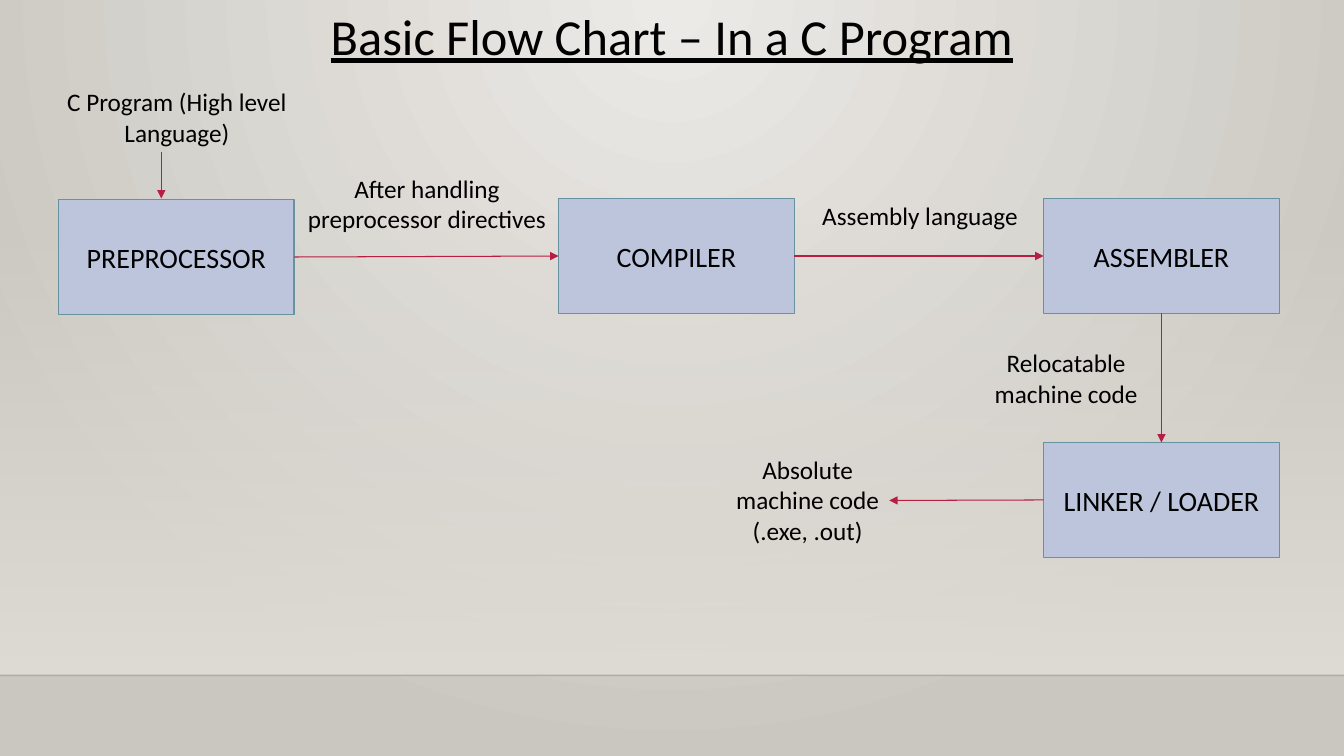
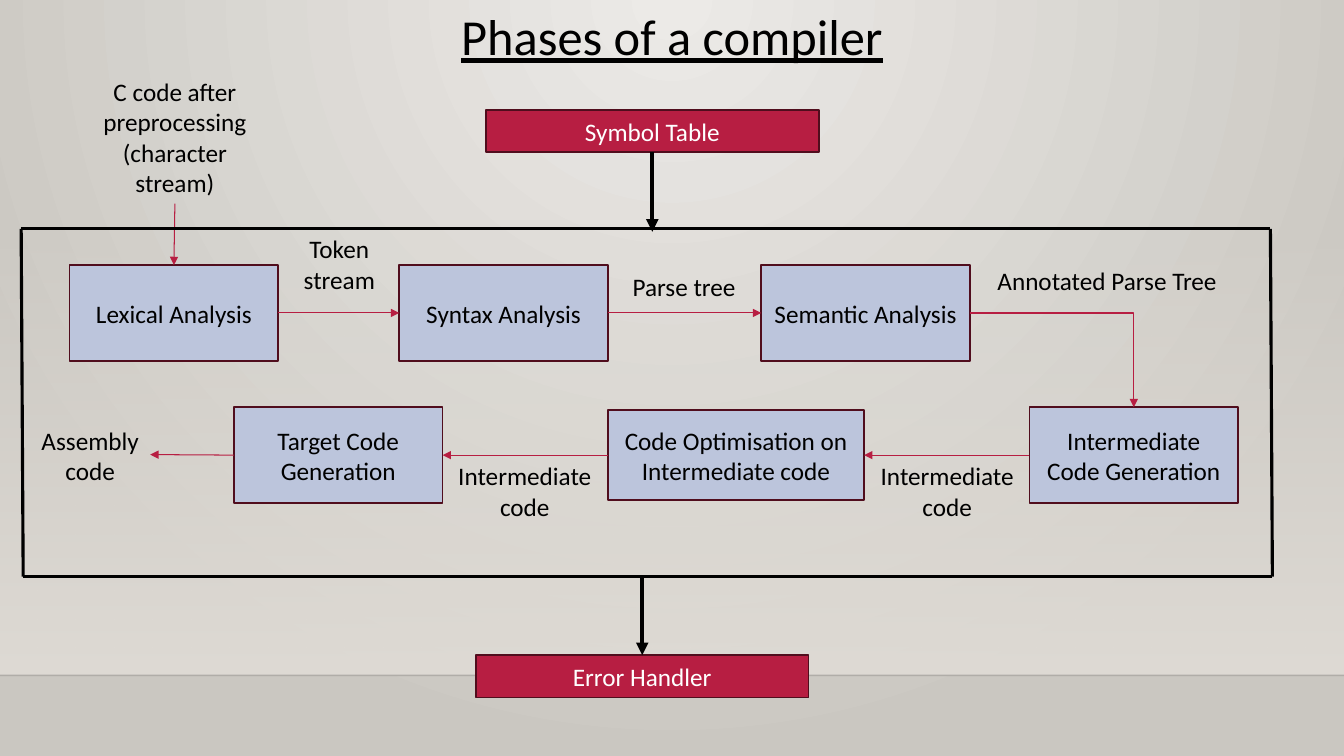
from lxml import etree
from pptx import Presentation
from pptx.dml.color import RGBColor
from pptx.enum.shapes import MSO_CONNECTOR, MSO_SHAPE
from pptx.enum.text import MSO_ANCHOR, MSO_AUTO_SIZE, PP_ALIGN
from pptx.oxml.ns import qn
from pptx.util import Inches, Pt

FONT = "Calibri"
BLACK = RGBColor(0x00, 0x00, 0x00)
WHITE = RGBColor(0xFF, 0xFF, 0xFF)
CRIMSON = RGBColor(0xB7, 0x1E, 0x42)
MAROON = RGBColor(0x50, 0x0D, 0x1D)
TEAL = RGBColor(0x68, 0x92, 0xA0)
PALE_BLUE = RGBColor(0xBC, 0xC5, 0xDC)
GLOW = RGBColor(0xEC, 0xEA, 0xE7)
STONE = RGBColor(0xCA, 0xC7, 0xC1)
SAND = RGBColor(0xDF, 0xDB, 0xD5)

SLIDE_WIDTH, SLIDE_HEIGHT = 13.33, 7.5
BAND_TOP, FLOOR = 2.21, 6.7
TOP, LEFT, BOTTOM, RIGHT = range(4)  # connection sites of a rectangle

# Boxes and labels: text, left, top, width, height.
# Arrows: start and end, each a (text, side) pair or an (x, y) point.
STAGE = (2.34, 1.14)
PROGRAM_FLOW = {
    "title": "Basic Flow Chart – In a C Program",
    "box_line": TEAL,
    "box_size": 20,
    "boxes": [
        ("PREPROCESSOR", 0.58, 1.98, *STAGE),
        ("COMPILER", 5.54, 1.97, *STAGE),
        ("ASSEMBLER", 10.35, 1.97, *STAGE),
        ("LINKER / LOADER", 10.35, 4.39, *STAGE),
    ],
    "labels": [
        ("C Program (High level Language)", 0.5, 0.81, 2.51, 0.71),
        ("After handling preprocessor directives", 2.93, 1.67, 2.61, 0.71),
        ("Assembly language", 8.04, 1.94, 2.17, 0.4),
        ("Relocatable machine code", 9.61, 3.4, 1.93, 0.71),
        ("Absolute machine code (.exe, .out)", 7.2, 4.46, 1.62, 1.01),
    ],
    "arrows": [
        ((1.6, 1.51), (1.6, 1.97)),
        (("PREPROCESSOR", RIGHT), ("COMPILER", LEFT)),
        (("COMPILER", RIGHT), ("ASSEMBLER", LEFT)),
        (("ASSEMBLER", BOTTOM), ("LINKER / LOADER", TOP)),
        (("LINKER / LOADER", LEFT), ("Absolute machine code (.exe, .out)", RIGHT)),
    ],
}

PHASE = (2.07, 0.95)
COMPILER_PHASES = {
    "title": "Phases of a compiler",
    "box_line": MAROON,
    "box_size": 18,
    "boxes": [
        ("Lexical Analysis", 0.69, 2.63, *PHASE),
        ("Syntax Analysis", 3.96, 2.63, *PHASE),
        ("Semantic Analysis", 7.55, 2.63, *PHASE),
        ("Intermediate Code Generation", 10.21, 4.04, *PHASE),
        ("Code Optimisation on Intermediate code", 6.03, 4.07, 2.54, 0.89),
        ("Target Code Generation", 2.32, 4.04, *PHASE),
    ],
    "labels": [
        ("C code after preprocessing (character stream)", 0.88, 0.71, 1.71, 1.31),
        ("Token stream", 2.89, 2.27, 0.95, 0.71),
        ("Parse tree", 6.15, 2.64, 1.27, 0.4),
        ("Annotated Parse Tree", 9.74, 2.58, 2.48, 0.4),
        ("Intermediate code", 8.58, 4.52, 1.63, 0.71),
        ("Intermediate code", 4.39, 4.52, 1.63, 0.71),
        ("Assembly code", 0.23, 4.17, 1.33, 0.71),
    ],
    "arrows": [
        (("C code after preprocessing (character stream)", BOTTOM),
         ("Lexical Analysis", TOP)),
        (("Lexical Analysis", RIGHT), ("Syntax Analysis", LEFT)),
        (("Syntax Analysis", RIGHT), ("Semantic Analysis", LEFT)),
        (("Semantic Analysis", RIGHT), ("Intermediate Code Generation", TOP)),
        (("Intermediate Code Generation", LEFT),
         ("Code Optimisation on Intermediate code", RIGHT)),
        (("Code Optimisation on Intermediate code", LEFT),
         ("Target Code Generation", RIGHT)),
        (("Target Code Generation", LEFT), (1.49, 4.51)),
    ],
}
SERVICES = [
    ("Symbol Table", 4.82, 1.09, 3.3, 0.42),
    ("Error Handler", 4.72, 6.5, 3.3, 0.42),
]
SERVICE_ARROWS = [
    (("Symbol Table", BOTTOM), (6.47, 2.3)),
    ((6.37, 5.72), ("Error Handler", TOP)),
]
FRAME_CORNERS = [(0.21, 2.27), (12.6, 2.27), (12.62, 5.72), (0.23, 5.72)]


def inches(*values):
    return [Inches(value) for value in values]


def write(shape, text, size, color, underline=None):
    frame = shape.text_frame
    frame.word_wrap = True
    paragraph = frame.paragraphs[0]
    paragraph.alignment = PP_ALIGN.CENTER
    run = paragraph.add_run()
    run.text = text
    run.font.name = FONT
    run.font.size = Pt(size)
    run.font.color.rgb = color
    run.font.underline = underline


def add_box(slide, text, *place, fill, line, size, color):
    box = slide.shapes.add_shape(MSO_SHAPE.RECTANGLE, *inches(*place))
    box.shadow.inherit = False
    box.fill.solid()
    box.fill.fore_color.rgb = fill
    box.line.color.rgb = line
    box.line.width = Pt(1.25)
    box.text_frame.vertical_anchor = MSO_ANCHOR.MIDDLE
    write(box, text, size, color)
    return box


def add_label(slide, text, *place):
    label = slide.shapes.add_textbox(*inches(*place))
    write(label, text, 18, BLACK)
    label.text_frame.auto_size = MSO_AUTO_SIZE.SHAPE_TO_FIT_TEXT
    return label


def add_line(slide, start, end, color, width, kind=MSO_CONNECTOR.STRAIGHT):
    line = slide.shapes.add_connector(kind, *inches(*start, *end))
    line.line.color.rgb = color
    line.line.width = Pt(width)
    etree.SubElement(line.element.spPr, qn("a:effectLst"))
    return line


def add_arrow(slide, nodes, start, end, color=CRIMSON, width=0.75):
    """Draw an arrow, glued to a shape at each end that names one."""
    turns = start[0] in nodes and end[0] in nodes and start[1] % 2 != end[1] % 2
    kind = MSO_CONNECTOR.ELBOW if turns else MSO_CONNECTOR.STRAIGHT
    points = [(0, 0) if place[0] in nodes else place for place in (start, end)]
    arrow = add_line(slide, *points, color, width, kind)
    for place, connect in ((start, arrow.begin_connect), (end, arrow.end_connect)):
        if place[0] in nodes:
            connect(nodes[place[0]], place[1])
    if turns:
        arrow.element.spPr.find(qn("a:prstGeom")).set("prst", "bentConnector2")
    outline = arrow.element.spPr.find(qn("a:ln"))
    etree.SubElement(outline, qn("a:tailEnd"), type="triangle")


def set_alpha(color_element, percent):
    etree.SubElement(color_element, qn("a:alpha"), val=str(percent * 1000))


def set_gradient(fill, first, last):
    fill.gradient()
    for stop, position, color in zip(fill.gradient_stops, (0, 1), (first, last)):
        stop.position = position
        stop.color.rgb = color


def style_master(master, slide):
    """Give the master its glow, wall band and floor line."""
    set_gradient(master.background.fill, GLOW, STONE)
    gradient = next(master.element.iter(qn("a:gradFill")))
    linear = gradient.find(qn("a:lin"))
    radial = etree.Element(qn("a:path"), path="circle")
    etree.SubElement(radial, qn("a:fillToRect"), l="43000", t="0", r="43000", b="100000")
    gradient.replace(linear, radial)

    band = slide.shapes.add_shape(
        MSO_SHAPE.RECTANGLE, *inches(0, BAND_TOP, SLIDE_WIDTH, FLOOR - BAND_TOP))
    band.shadow.inherit = False
    band.line.fill.background()
    set_gradient(band.fill, SAND, SAND)
    band.fill.gradient_angle = 270
    set_alpha(next(band.element.spPr.iter(qn("a:srgbClr"))), 0)

    floor = add_line(slide, (0, FLOOR), (SLIDE_WIDTH, FLOOR), BLACK, 1)
    set_alpha(next(floor.element.spPr.iter(qn("a:srgbClr"))), 20)
    for position, shape in enumerate((band, floor), start=2):
        master.shapes.element.insert(position, shape.element)


def style_title(layout):
    title = layout.placeholders[0]
    title.left, title.top, title.width, title.height = inches(1.6, 0, 10.13, 0.71)
    title.text_frame.vertical_anchor = MSO_ANCHOR.TOP
    title.text_frame.auto_size = MSO_AUTO_SIZE.NONE


def add_flow(slide, flow):
    """Fill a slide with its title, boxes, labels and arrows."""
    write(slide.shapes.title, flow["title"], 36, BLACK, underline=True)
    nodes = {}
    for box in flow["boxes"]:
        nodes[box[0]] = add_box(slide, *box, fill=PALE_BLUE, line=flow["box_line"],
                                size=flow["box_size"], color=BLACK)
    for label in flow["labels"]:
        nodes[label[0]] = add_label(slide, *label)
    for start, end in flow["arrows"]:
        add_arrow(slide, nodes, start, end)


def add_services(slide):
    """Frame the phases and link them to the parts they share."""
    for start, end in zip(FRAME_CORNERS, FRAME_CORNERS[1:] + FRAME_CORNERS[:1]):
        add_line(slide, start, end, BLACK, 2.25)
    nodes = {service[0]: add_box(slide, *service, fill=CRIMSON, line=MAROON,
                                 size=18, color=WHITE)
             for service in SERVICES}
    for start, end in SERVICE_ARROWS:
        add_arrow(slide, nodes, start, end, BLACK, 3)


def main():
    presentation = Presentation()
    presentation.slide_width, presentation.slide_height = inches(SLIDE_WIDTH, SLIDE_HEIGHT)
    layout = presentation.slide_layouts.get_by_name("Title Only")
    style_title(layout)
    program_slide = presentation.slides.add_slide(layout)
    style_master(presentation.slide_master, program_slide)
    add_flow(program_slide, PROGRAM_FLOW)
    phases_slide = presentation.slides.add_slide(layout)
    add_flow(phases_slide, COMPILER_PHASES)
    add_services(phases_slide)
    presentation.save("out.pptx")


if __name__ == "__main__":
    main()
